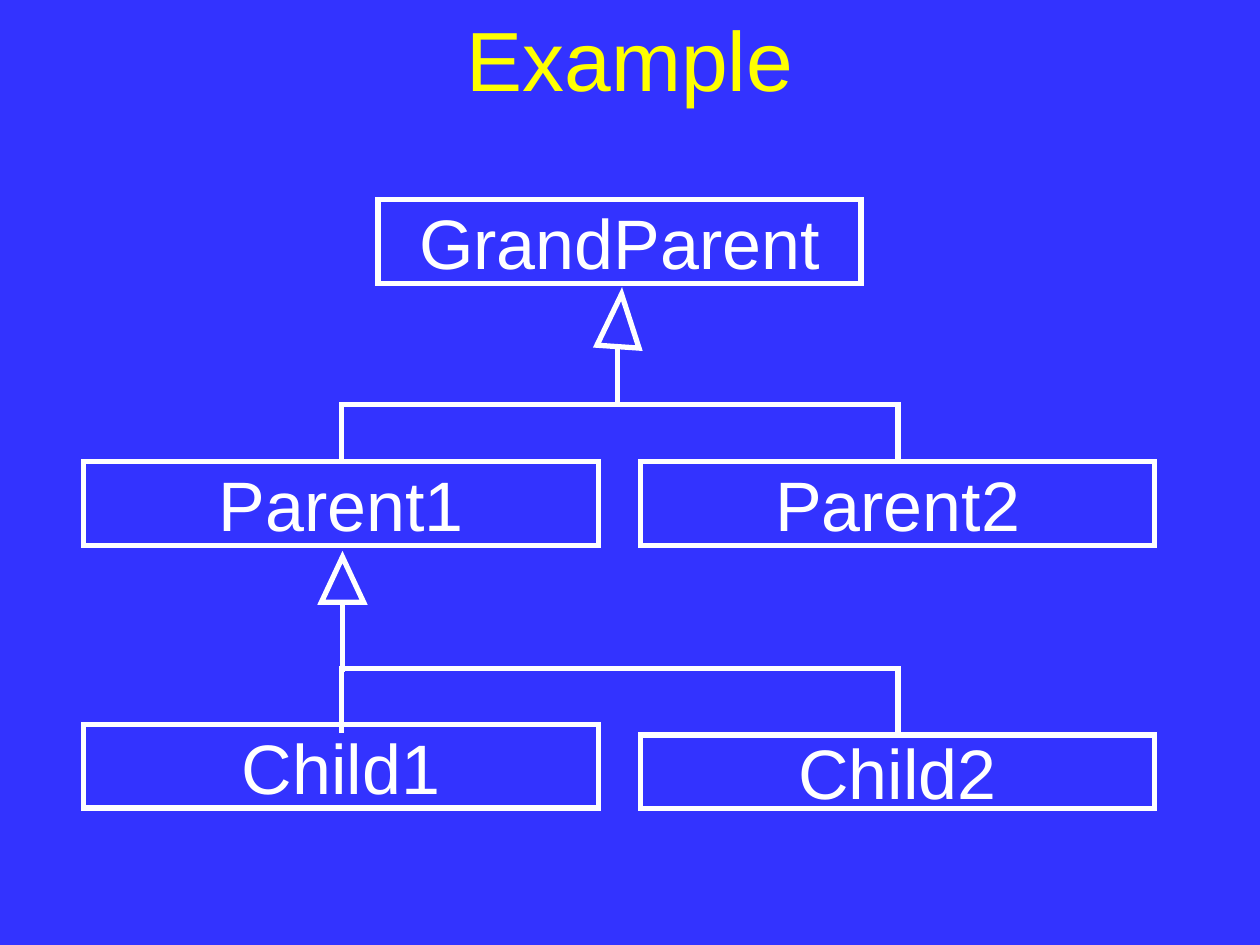
from dataclasses import dataclass
from lxml.etree import SubElement
from pptx import Presentation
from pptx.dml.color import RGBColor
from pptx.enum.shapes import MSO_CONNECTOR, MSO_SHAPE
from pptx.enum.text import MSO_ANCHOR, PP_ALIGN
from pptx.oxml.ns import qn
from pptx.util import Cm, Pt


@dataclass(frozen=True)
class Theme:
    background: RGBColor = RGBColor(0x33, 0x33, 0xFF)
    ink: RGBColor = RGBColor(0xFF, 0xFF, 0xFF)
    heading: RGBColor = RGBColor(0xFF, 0xFF, 0x00)
    font: str = "Arial"
    heading_size: int = 48
    label_size: int = 40
    stroke: int = 3


def write(frame, text, *, font, size, color, wrap=False):
    frame.word_wrap = wrap
    frame.vertical_anchor = MSO_ANCHOR.MIDDLE
    paragraph = frame.paragraphs[0]
    paragraph.alignment = PP_ALIGN.CENTER
    run = paragraph.add_run()
    run.text = text
    run.font.name = font
    run.font.size = Pt(size)
    run.font.color.rgb = color


class ClassDiagram:
    def __init__(self, slide, theme):
        self.slide = slide
        self.theme = theme
        slide.background.fill.solid()
        slide.background.fill.fore_color.rgb = theme.background

    def outline(self, line):
        line.color.rgb = self.theme.ink
        line.width = Pt(self.theme.stroke)
        SubElement(line._get_or_add_ln(), qn("a:miter"), lim="800000")

    def title(self, text, left, top, width, height):
        heading = self.slide.shapes.add_textbox(Cm(left), Cm(top), Cm(width), Cm(height))
        write(heading.text_frame, text, font=self.theme.font,
              size=self.theme.heading_size, color=self.theme.heading, wrap=True)

    def hollow(self, kind, left, top, width, height):
        figure = self.slide.shapes.add_shape(kind, Cm(left), Cm(top), Cm(width), Cm(height))
        figure.shadow.inherit = False
        figure.fill.background()
        self.outline(figure.line)
        return figure

    def class_box(self, name, left, top, width, height=1.69):
        box = self.hollow(MSO_SHAPE.RECTANGLE, left, top, width, height)
        write(box.text_frame, name, font=self.theme.font,
              size=self.theme.label_size, color=self.theme.ink)

    def inheritance_head(self, left, top, height, rotation=0):
        head = self.hollow(MSO_SHAPE.ISOSCELES_TRIANGLE, left, top, 0.85, height)
        head.rotation = rotation

    def branch(self, child, parent):
        (child_x, child_y), (parent_x, parent_y) = child, parent
        middle_x, middle_y = (child_x + parent_x) / 2, (child_y + parent_y) / 2
        half_rise, half_run = (child_y - parent_y) / 2, abs(child_x - parent_x) / 2
        from_left = child_x < parent_x
        reach = half_rise if from_left else -half_rise
        elbow = self.slide.shapes.add_connector(
            MSO_CONNECTOR.ELBOW,
            Cm(middle_x + reach), Cm(middle_y + half_run),
            Cm(middle_x - reach), Cm(middle_y - half_run))
        quarter_turns = 1 if from_left else 3
        properties = elbow._element.spPr
        properties.find(qn("a:xfrm")).set("rot", str(quarter_turns * 90 * 60000))
        self.outline(elbow.line)
        SubElement(properties, qn("a:effectLst"))


def main():
    deck = Presentation()
    deck.slide_width, deck.slide_height = Cm(25.4), Cm(19.05)
    diagram = ClassDiagram(deck.slides.add_slide(deck.slide_layouts[6]), Theme())

    left_column, right_column, column_width = 1.69, 12.91, 10.37
    left_middle, right_middle = 6.88, 18.1

    diagram.title("Example", 1.27, -0.43, 22.86, 3.18)
    diagram.class_box("GrandParent", 7.62, 4.02, 9.74)
    diagram.class_box("Parent1", left_column, 9.31, column_width)
    diagram.class_box("Parent2", right_column, 9.31, column_width)
    diagram.class_box("Child1", left_column, 14.6, column_width)
    diagram.class_box("Child2", right_column, 14.82, column_width, 1.48)

    grandparent_joint, parent_joint = (12.45, 7.04), (6.91, 12.19)
    for middle in (left_middle, right_middle):
        diagram.branch((middle, 9.27), grandparent_joint)
        diagram.branch((middle, 14.78), parent_joint)

    diagram.inheritance_head(12.07, 5.93, 1.06, rotation=3.9)
    diagram.inheritance_head(6.48, 11.23, 0.91)

    deck.save("out.pptx")


if __name__ == "__main__":
    main()
